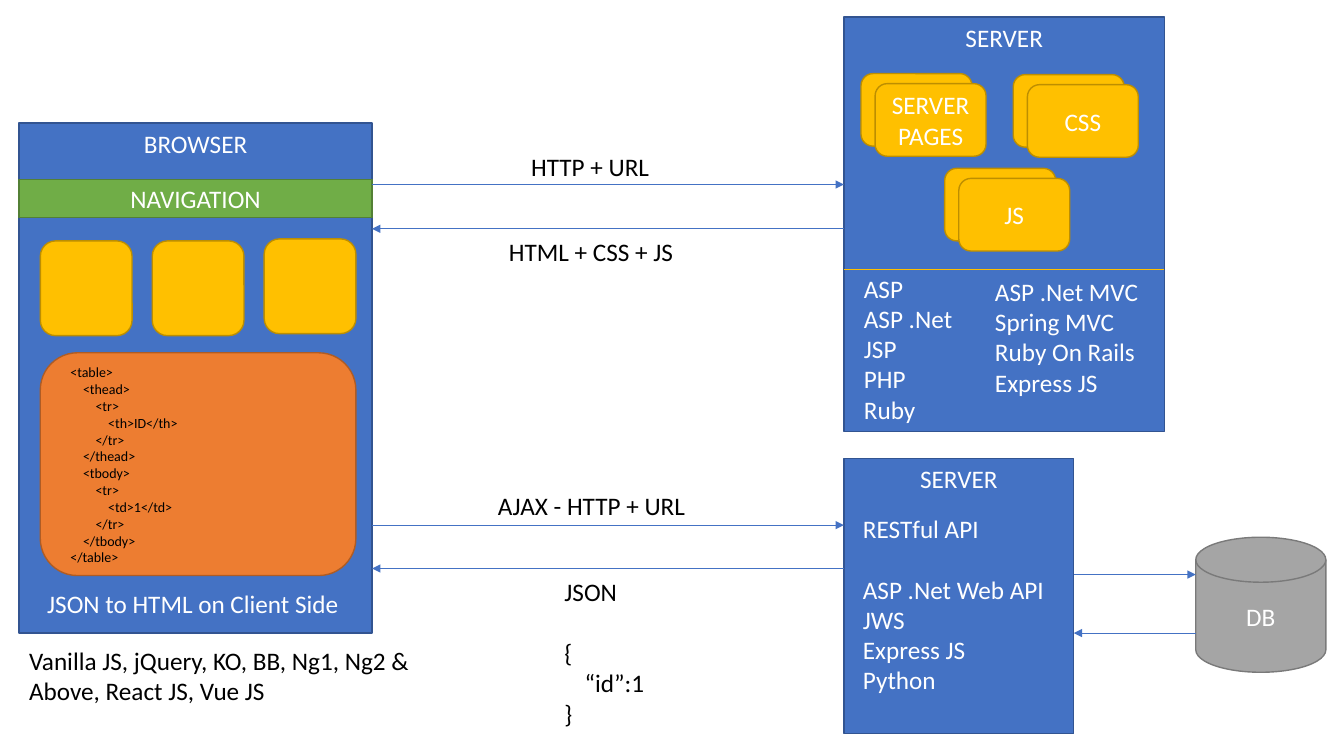
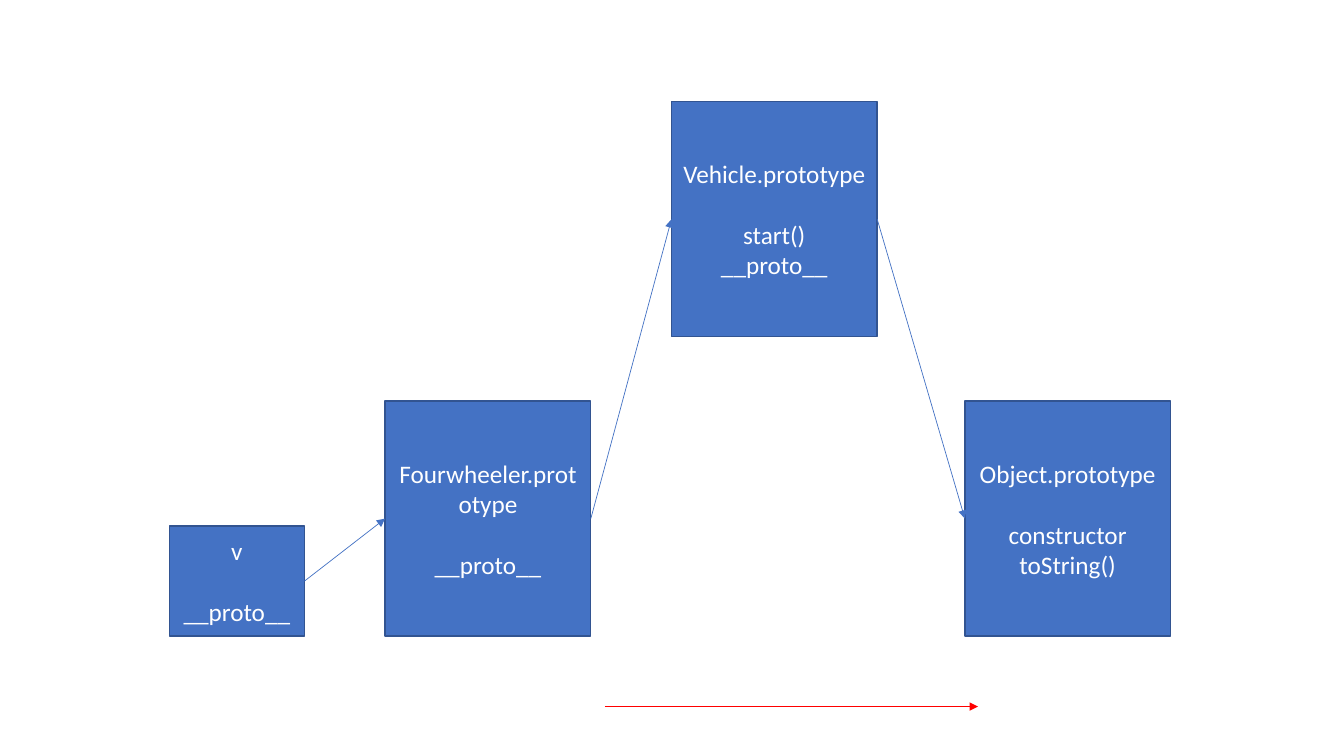
from dataclasses import dataclass
from lxml.etree import SubElement as Sub
from pptx import Presentation
from pptx.dml.color import RGBColor as RGB
from pptx.enum.shapes import MSO_CONNECTOR as LINK, MSO_SHAPE as KIND
from pptx.enum.text import MSO_ANCHOR as ANCHOR, PP_ALIGN as ALIGN
from pptx.oxml.ns import qn
from pptx.util import Inches, Pt


@dataclass(frozen=True)
class Theme:
    """Colours, type sizes and line widths that the slides share."""
    font: str = "Calibri"
    body: int = 18
    code: int = 10
    gap: int = 22
    edge: float = 1
    wire: float = 0.5
    white: str = "FFFFFF"
    black: str = "000000"
    red: str = "FF0000"
    gold: str = "FFC000"
    blue: tuple = ("4472C4", "325491")
    green: tuple = ("70AD47", "538035")
    amber: tuple = ("FFC000", "BD8E00")
    orange: tuple = ("ED7D31", "AF5C24")
    grey: tuple = ("A5A5A5", "7A7A7A")


T = Theme()
COLS, ROWS = 13.33, 7.5
CELL = Inches(1)
INDENT = {T.body: Pt(14.4), T.code: Pt(9)}

BROWSER = (0.19, 1.22, 3.5, 5.06)
SITE = (8.37, 0.17, 3.18, 4.11)
API = (8.37, 4.55, 2.28, 2.73)
DISK = (11.86, 5.33, 1.29, 1.34)
PANELS = [(BROWSER, "BROWSER"), (SITE, "SERVER"), (API, "SERVER")]

CARD = (1.1, 0.72)
SHIFT = (0.14, 0.1)
STACKS = [("SERVER PAGES", 8.54, 0.73), ("CSS", 10.05, 0.74), ("JS", 9.37, 1.67)]
TILES = [2.39, 2.39, 2.37]
TILE, STEP, INSET = (0.91, 0.94), 1.11, 0.21

CALLS = [(1.83, 2.27), (5.21, 5.64)]
QUERIES = (5.7, 6.28)

CODE = ["<table>", "\t<thead>", "\t\t<tr>", "\t\t\t<th>ID</th>", "\t\t</tr>",
        "\t</thead>", "\t<tbody>", "\t\t<tr>", "\t\t\t<td>1</td>", "\t\t</tr>",
        "\t</tbody>", "</table>"]
NOTES = [
    ((8.47, 2.66, 1.25, 1.62), ["ASP", "ASP .Net", "JSP", "PHP", "Ruby"], T.white, T.body),
    ((9.77, 2.69, 1.78, 1.31),
     ["ASP .Net MVC", "Spring MVC", "Ruby On Rails", "Express JS"], T.white, T.body),
    ((8.46, 5.04, 2.15, 1.92),
     ["RESTful API", "", "ASP .Net Web API", "JWS", "Express JS", "Python"], T.white, T.body),
    ((0.37, 5.79, 3.3, 0.4), ["JSON to HTML on Client Side"], T.white, T.body),
    ((5.17, 1.45, 1.6, 0.4), ["HTTP + URL"], T.black, T.body),
    ((4.95, 2.3, 2.1, 0.4), ["HTML + CSS + JS"], T.black, T.body),
    ((4.84, 4.82, 2.3, 0.4), ["AJAX - HTTP + URL"], T.black, T.body),
    ((5.5, 5.67, 1.2, 1.62), ["JSON", "", "{", "\t“id”:1", "}"], T.black, T.body),
    ((0.6, 3.56, 2.44, 2.12), CODE, T.black, T.code),
    ((0.19, 6.35, 4.41, 0.71),
     ["Vanilla JS, jQuery, KO, BB, Ng1, Ng2 & Above, React JS, Vue JS"], T.black, T.body),
]

BLOCK = (2.04, 2.33)
CHAIN = [
    ((1.68, 5.22, 1.34, 1.09), ["v", "", "__proto__"]),
    ((3.82, 3.98, *BLOCK), ["Fourwheeler.prototype", "", "__proto__"]),
    ((6.66, 1.01, *BLOCK), ["Vehicle.prototype", "", "start()", "__proto__"]),
    ((9.57, 3.98, *BLOCK), ["Object.prototype", "", "constructor", "toString()"]),
]
TREND = (6, 7.01, 9.7, 7.01)


def place(box):
    """Turn grid cells into slide lengths."""
    return [int(n * CELL) for n in box]


def write(shape, lines, tint=T.white, size=T.body, align=ALIGN.CENTER, anchor=ANCHOR.MIDDLE):
    """Set paragraphs; a tab indents a line and an empty line opens a gap."""
    frame = shape.text_frame
    frame.word_wrap, frame.vertical_anchor = True, anchor
    gap, first = False, True
    for line in lines:
        if not line:
            gap = True
            continue
        para = frame.paragraphs[0] if first else frame.add_paragraph()
        para.text = line.lstrip("\t")
        para.alignment = align
        depth = line.count("\t")
        if depth:
            para._p.get_or_add_pPr().set("marL", str(int(depth * INDENT[size])))
        if gap:
            para.space_before = Pt(T.gap)
        font = para.runs[0].font
        font.name, font.size = T.font, Pt(size)
        font.color.rgb = RGB.from_string(tint)
        gap = first = False


def block(slide, box, look, lines=(), kind=KIND.RECTANGLE, anchor=ANCHOR.MIDDLE):
    """Draw a filled shape with centred text."""
    shape = slide.shapes.add_shape(kind, *place(box))
    shape.shadow.inherit = False
    fill, edge = look
    shape.fill.solid()
    shape.fill.fore_color.rgb = RGB.from_string(fill)
    shape.line.color.rgb = RGB.from_string(edge)
    shape.line.width = Pt(T.edge)
    write(shape, lines, anchor=anchor)
    return shape


def note(slide, box, lines, tint, size):
    """Draw a plain text box."""
    write(slide.shapes.add_textbox(*place(box)), lines, tint, size, ALIGN.LEFT, ANCHOR.TOP)


def wire(slide, ends, tint=T.blue[0], head=True):
    """Draw a thin line, by default with an arrowhead."""
    link = slide.shapes.add_connector(LINK.STRAIGHT, *place(ends))
    link.line.color.rgb = RGB.from_string(tint)
    link.line.width = Pt(T.wire)
    if head:
        Sub(link.line._get_or_add_ln(), qn("a:tailEnd"), type="triangle")
    Sub(link._element.spPr, qn("a:effectLst"))
    return link


def trip(slide, left, right, rows):
    """Draw the request and the reply between two boxes."""
    start, end = left[0] + left[2], right[0]
    out, back = rows
    wire(slide, (start, out, end, out))
    wire(slide, (end, back, start, back))


def web(slide):
    """Build the browser and server slide."""
    for box, name in PANELS:
        block(slide, box, T.blue, [name], anchor=ANCHOR.TOP)
    left, top, wide, _ = BROWSER
    block(slide, (left, top + 0.56, wide, 0.38), T.green, ["NAVIGATION"])
    for i, row in enumerate(TILES):
        block(slide, (left + INSET + i * STEP, row, *TILE), T.amber, kind=KIND.ROUNDED_RECTANGLE)
    block(slide, (left + INSET, 3.5, 2 * STEP + TILE[0], 2.21), T.orange,
          kind=KIND.ROUNDED_RECTANGLE)
    for name, x, y in STACKS:
        for i, lines in enumerate([[], [name]]):
            block(slide, (x + i * SHIFT[0], y + i * SHIFT[1], *CARD), T.amber, lines,
                  KIND.ROUNDED_RECTANGLE)
    block(slide, DISK, T.grey, ["DB"], KIND.FLOWCHART_MAGNETIC_DISK)
    wire(slide, (SITE[0], 2.67, SITE[0] + SITE[2], 2.67), T.gold, False)
    for rows, host in zip(CALLS, (SITE, API)):
        trip(slide, BROWSER, host, rows)
    trip(slide, API, DISK, QUERIES)
    for item in NOTES:
        note(slide, *item)


def chain(slide):
    """Build the prototype chain slide."""
    boxes = [block(slide, box, T.blue, lines) for box, lines in CHAIN]
    for a, b in zip(boxes, boxes[1:]):
        link = wire(slide, (0, 0, 1, 1))
        link.begin_connect(a, 3)
        link.end_connect(b, 1)
    wire(slide, TREND, T.red)


def main():
    """Build and save the deck."""
    deck = Presentation()
    deck.slide_width, deck.slide_height = place((COLS, ROWS))
    for build in (web, chain):
        build(deck.slides.add_slide(deck.slide_layouts[6]))
    deck.save("out.pptx")


if __name__ == "__main__":
    main()
